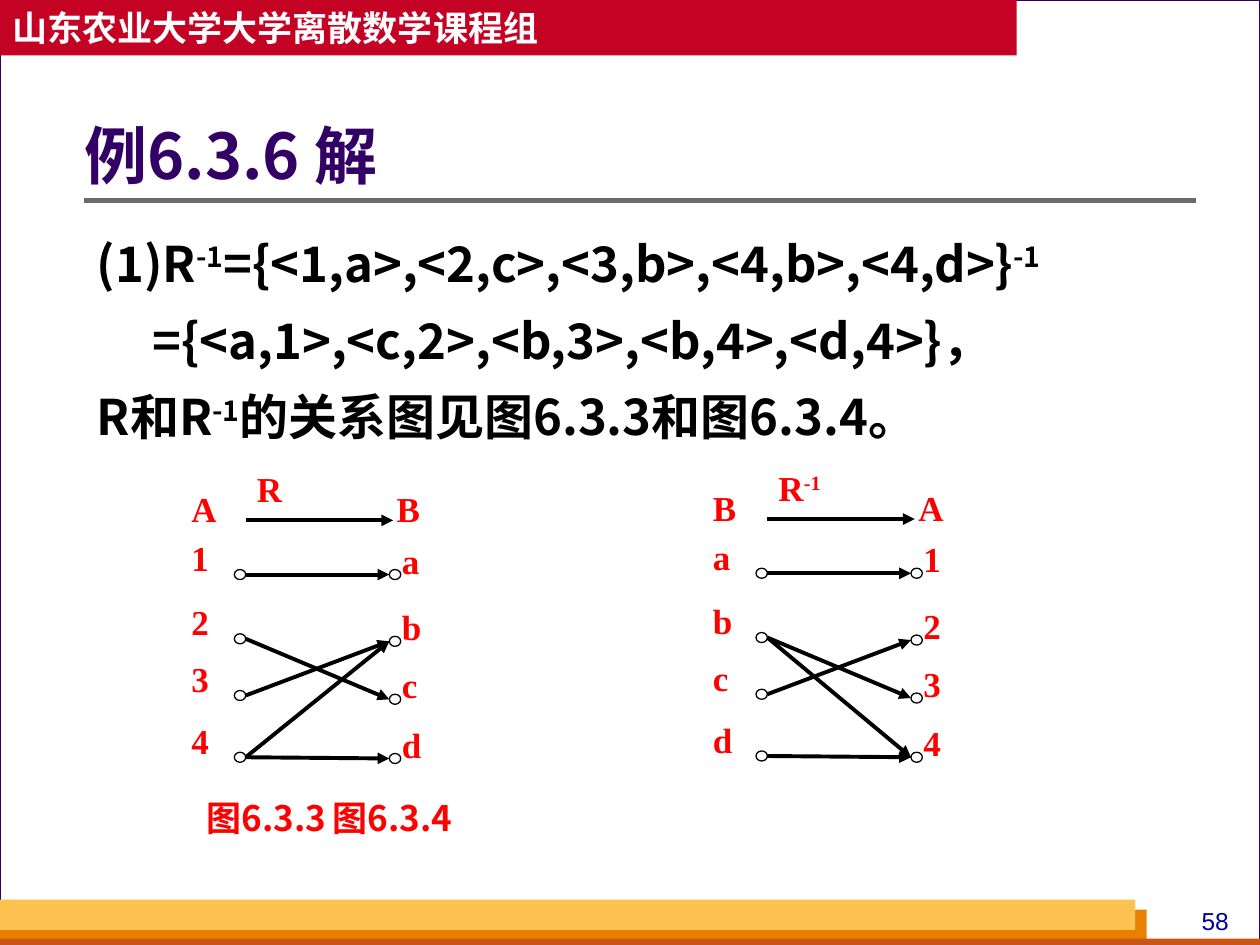
from dataclasses import dataclass

from lxml import etree
from pptx import Presentation
from pptx.dml.color import RGBColor
from pptx.enum.shapes import MSO_CONNECTOR, MSO_SHAPE
from pptx.enum.text import MSO_ANCHOR, PP_ALIGN
from pptx.oxml.ns import qn
from pptx.util import Pt

RECT, OVAL = MSO_SHAPE.RECTANGLE, MSO_SHAPE.OVAL
LINE = MSO_CONNECTOR.STRAIGHT
TOP, MID = MSO_ANCHOR.TOP, MSO_ANCHOR.MIDDLE
LEFT, CENTER, FULL = PP_ALIGN.LEFT, PP_ALIGN.CENTER, PP_ALIGN.JUSTIFY
PX = 9144  # 100 px to the inch


@dataclass(frozen=True)
class Theme:
    back: str = "D8DADA"
    paper: str = "FFFFFF"
    ink: str = "000000"
    title: str = "330066"
    red: str = "FF0000"
    band: str = "C30224"
    rule: str = "6B6B6B"
    gold: str = "FCC24F"
    amber: str = "E88000"
    rust: str = "C95616"
    page: str = "000099"
    sans: str = "Noto Sans CJK SC"
    serif: str = "Times New Roman"
    plain: str = "Arial"
    big: int = 36
    text: int = 28
    small: int = 20
    tiny: int = 14


T = Theme()


def px(*nums):
    return [round(n * PX) for n in nums]


def rgb(code):
    return RGBColor.from_string(code)


def block(slide, box, fill, edge=None, kind=RECT):
    shape = slide.shapes.add_shape(kind, *px(*box))
    shape.shadow.inherit = False
    shape.fill.solid()
    shape.fill.fore_color.rgb = rgb(fill)
    if edge:
        shape.line.color.rgb = rgb(edge)
        shape.line.width = Pt(0.75)
    else:
        shape.line.fill.background()
    return shape


def rule(slide, start, end, color, width, arrow=False):
    line = slide.shapes.add_connector(LINE, *px(*start, *end))
    line.line.color.rgb = rgb(color)
    line.line.width = Pt(width)
    if arrow:
        etree.SubElement(line.line._get_or_add_ln(), qn("a:tailEnd"), type="triangle")
    etree.SubElement(line._element.spPr, qn("a:effectLst"))


def frame(shape, anchor=TOP, wrap=True, left=10):
    body = shape.text_frame
    body.word_wrap = wrap
    body.vertical_anchor = anchor
    body.margin_left, body.margin_right = px(left, 10)
    body.margin_top, body.margin_bottom = px(5, 5)
    return body


def label(slide, box, **opts):
    return frame(slide.shapes.add_textbox(*px(*box)), **opts)


def write(para, runs, font, size, color, bold=True, align=LEFT):
    """Fill a paragraph; each run is text, or (text,) when raised."""
    para.alignment = align
    for part in runs:
        run = para.add_run()
        run.text = part if isinstance(part, str) else part[0]
        run.font.name, run.font.size = font, Pt(size)
        run.font.bold = bold
        run.font.color.rgb = rgb(color)
        props = run._r.get_or_add_rPr()
        etree.SubElement(props, qn("a:ea"), typeface=font)
        if not isinstance(part, str):
            props.set("baseline", "30000")


def indent(para, left, tab=None):
    props = para._p.get_or_add_pPr()
    props.set("marL", str(px(left)[0]))
    props.set("indent", "0")
    if tab:
        stops = etree.SubElement(props, qn("a:tabLst"))
        etree.SubElement(stops, qn("a:tab"), pos=str(px(tab)[0]), algn="l")


def master(slide, wide, high):
    slide.background.fill.solid()
    slide.background.fill.fore_color.rgb = rgb(T.back)
    block(slide, (0, 0, wide, high), T.paper, T.title)
    # Footer stripes and page number
    block(slide, (0, high - 28, 910, 28), T.amber)
    block(slide, (0, high - 5, wide, 5), T.rust)
    block(slide, (0, high - 36, 901, 24), T.gold)
    page = label(slide, (933, high - 36, 63, 34))
    write(page.paragraphs[0], ["58"], T.plain, T.tiny, T.page, False, CENTER)
    # Header band
    band = frame(block(slide, (0, 0, 807, 44), T.band), MID, False)
    write(band.paragraphs[0], ["山东农业大学大学离散数学课程组"], T.sans, T.small, T.paper)


def heading(slide, x, y, w, h):
    rule(slide, (x, y + 83), (x + w, y + 83), T.rule, 3)
    para = label(slide, (x, y, w, h), anchor=MID, left=0).paragraphs[0]
    para.line_spacing = 0.9
    write(para, ["例6.3.6 解"], T.sans, T.big, T.title)


def answer(slide, x, y, w, h):
    body = label(slide, (x, y, w, h))
    rows = [
        (0, ["(1)R", ("-1",), "={<1,a>,<2,c>,<3,b>,<4,b>,<4,d>}", ("-1",)]),
        (44, ["={<a,1>,<c,2>,<b,3>,<b,4>,<d,4>}，"]),
        (0, ["R和R", ("-1",), "的关系图见图6.3.3和图6.3.4。"]),
    ]
    for i, (left, runs) in enumerate(rows):
        para = body.add_paragraph() if i else body.paragraphs[0]
        indent(para, left)
        para.line_spacing = 1.2
        if i:
            para.space_before = Pt(3.5)
        write(para, runs, T.sans, T.text, T.ink)


def graph(slide, x, y, name, sets, nodes, pairs):
    """Arrow diagram of a relation between two columns of nodes."""
    def tag(left, top, runs, wide=58):
        para = label(slide, (x + left, y + top, wide, 63)).paragraphs[0]
        write(para, runs, T.serif, T.small, T.red, align=FULL)

    cols = (44, 167)
    rows = ((86, 137, 182, 231), (86, 139, 185, 232))
    lifts = (31, 29)
    dot_w, dot_h = 9, 8

    # Name and direction of the relation
    title = frame(block(slide, (x + 52, y, 116, 63), T.paper))
    write(title.paragraphs[0], name, T.serif, T.small, T.red, align=FULL)
    rule(slide, (x + 53, y + 47), (x + 170, y + 47), T.ink, 2.25, True)
    for left, text in zip((0, 163), sets):
        tag(left, 16, [text], 87)

    # Pairs
    for a, b in pairs:
        start = (x + cols[0] + dot_w, y + rows[0][nodes[0].index(a)] + dot_h // 2)
        end = (x + cols[1], y + rows[1][nodes[1].index(b)] + dot_h // 2)
        rule(slide, start, end, T.ink, 2.25, True)

    # Nodes
    for left, edge, tops, lift, names in zip(cols, (0, cols[1]), rows, lifts, nodes):
        for top, text in zip(tops, names):
            block(slide, (x + left, y + top, dot_w, dot_h), T.paper, T.ink, OVAL)
            tag(edge, top - lift, [text])


def caption(slide, x, y, w, h):
    para = frame(block(slide, (x, y, w, h), T.paper)).paragraphs[0]
    indent(para, 12, 228)
    write(para, ["图6.3.3\t图6.3.4"], T.sans, T.small, T.red)


def main():
    deck = Presentation()
    deck.slide_width, deck.slide_height = px(1000, 750)
    slide = deck.slides.add_slide(deck.slide_layouts[6])
    pairs = ["1a", "2c", "3b", "4b", "4d"]
    master(slide, 1000, 750)
    heading(slide, 67, 76, 882, 101)
    answer(slide, 67, 171, 882, 502)
    caption(slide, 142, 627, 694, 63)
    graph(slide, 142, 366, ["R"], "AB", ("1234", "abcd"), pairs)
    graph(slide, 556, 365, ["R", ("-1",)], "BA", ("abcd", "1234"),
          [p[::-1] for p in pairs])
    deck.save("out.pptx")


if __name__ == "__main__":
    main()
